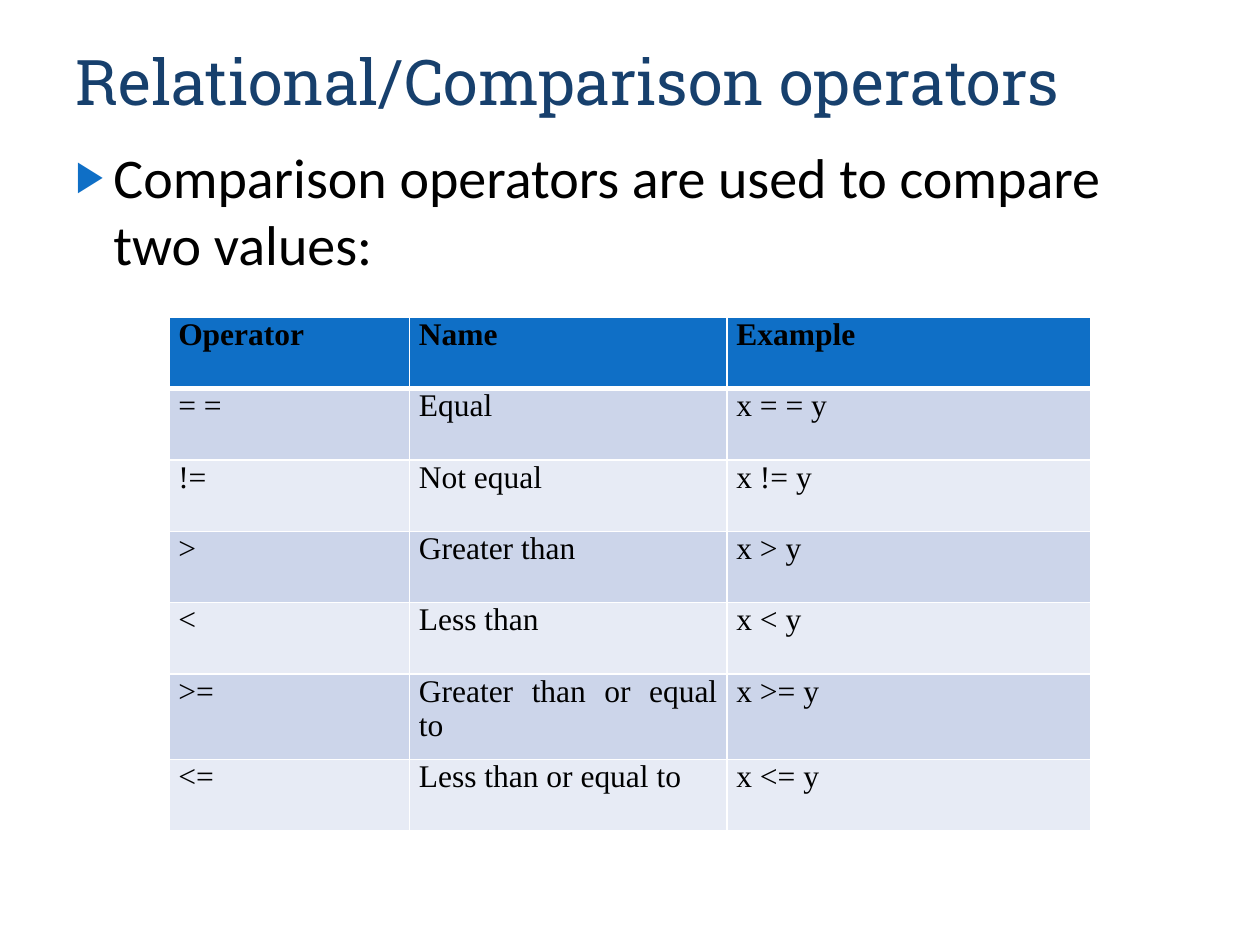
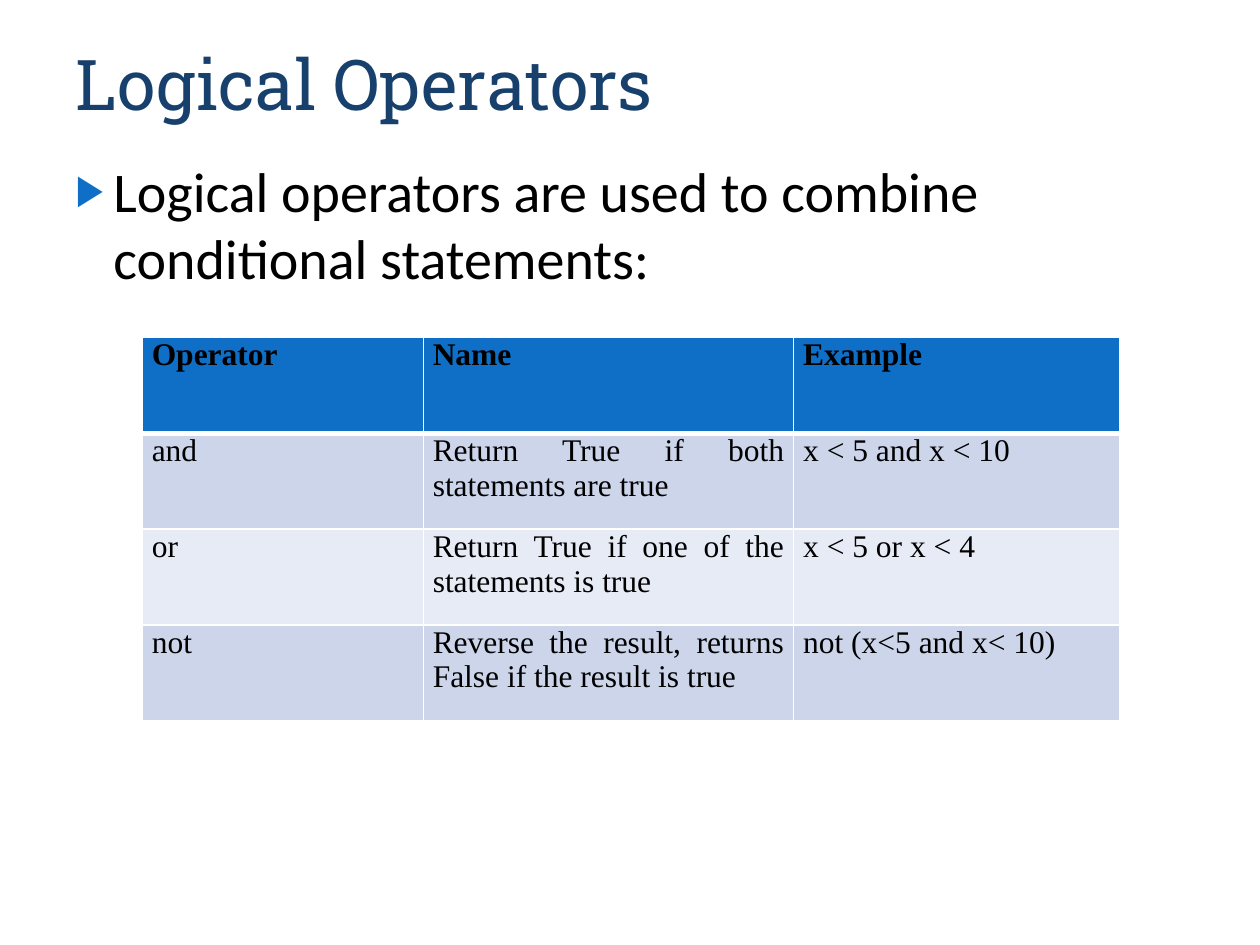
import pptx
import pptx.dml.color
import pptx.enum.text
import pptx.oxml
import pptx.oxml.ns
import pptx.util
from lxml import etree

# Grid: 100 columns by 75 rows over the whole slide
SLIDE_WIDTH = pptx.util.Inches(10)
SLIDE_HEIGHT = pptx.util.Inches(7.5)
COLUMNS, ROWS = 100, 75

# Shared style
TITLE_FONT, BODY_FONT, TABLE_FONT = "Roboto Slab", "Calibri", "Times New Roman"
NAVY, BLUE, BLACK, WHITE = "17406D", "0F6FC6", "000000", "FFFFFF"
BANDS = ("CCD5EA", "E7EBF5")
MARGIN, CONTENT_WIDTH = 5, 90
TITLE_TOP, TITLE_HEIGHT = 1.7, 14.9
THIN, THICK = 1, 3
HEADINGS = ("Operator", "Name", "Example")

COMPARISONS = (
    ("= =", "Equal", "x = = y"),
    ("!=", "Not equal", "x != y"),
    (">", "Greater than", "x > y"),
    ("<", "Less than", "x < y"),
    (">=", "Greater than or equal to", "x >= y"),
    ("<=", "Less than or equal to", "x <= y"),
)
LOGICALS = (
    ("and", "Return True if both statements are true", "x < 5 and x < 10"),
    ("or", "Return True if one of the statements is true", "x < 5 or x < 4"),
    ("not", "Reverse the result, returns False if the result is true",
     "not (x<5 and x< 10)"),
)


def across(columns):
    return pptx.util.Emu(round(SLIDE_WIDTH * columns / COLUMNS))


def down(rows):
    return pptx.util.Emu(round(SLIDE_HEIGHT * rows / ROWS))


def color(hex_string):
    return pptx.dml.color.RGBColor.from_string(hex_string)


def place(placeholder, left, top, width, height):
    placeholder.left, placeholder.top = across(left), down(top)
    placeholder.width, placeholder.height = across(width), down(height)
    placeholder.text_frame.auto_size = pptx.enum.text.MSO_AUTO_SIZE.NONE


def add_run(paragraph, text, font, size, hex_string, bold=False):
    run = paragraph.add_run()
    run.text = text
    run.font.name, run.font.size = font, pptx.util.Pt(size)
    run.font.bold = bold
    run.font.color.rgb = color(hex_string)


def set_title(slide, text, size, bottom_inset):
    title = slide.shapes.title
    place(title, MARGIN, TITLE_TOP, CONTENT_WIDTH, TITLE_HEIGHT)
    frame = title.text_frame
    frame.vertical_anchor = pptx.enum.text.MSO_ANCHOR.BOTTOM
    frame.margin_bottom = down(bottom_inset)
    paragraph = frame.paragraphs[0]
    paragraph.alignment = pptx.enum.text.PP_ALIGN.LEFT
    add_run(paragraph, text, TITLE_FONT, size, NAVY)


def add_bullet(paragraph):
    """Hanging blue triangle in front of the paragraph."""
    properties = paragraph._p.get_or_add_pPr()
    properties.set("marL", str(across(3)))
    properties.set("indent", str(-across(3)))
    tag = pptx.oxml.ns.qn
    bullet_color = etree.SubElement(properties, tag("a:buClr"))
    etree.SubElement(bullet_color, tag("a:srgbClr"), val=BLUE)
    etree.SubElement(properties, tag("a:buSzPct"), val="76000")
    etree.SubElement(properties, tag("a:buChar"), char="▶")


def set_statement(slide, text, top, height):
    body = slide.placeholders[1]
    place(body, MARGIN, top, CONTENT_WIDTH, height)
    paragraph = body.text_frame.paragraphs[0]
    paragraph.space_before = pptx.util.Pt(6)
    add_bullet(paragraph)
    add_run(paragraph, text, BODY_FONT, 32, BLACK)


def set_borders(cell, top, bottom):
    """White rules; only the line under the headings is thick."""
    properties = cell._tc.get_or_add_tcPr()
    tag = pptx.oxml.ns.qn
    for side, width in (("L", THIN), ("R", THIN), ("T", top), ("B", bottom)):
        line = etree.SubElement(properties, tag(f"a:ln{side}"),
                                w=str(pptx.util.Pt(width)))
        fill = etree.SubElement(line, tag("a:solidFill"))
        etree.SubElement(fill, tag("a:srgbClr"), val=WHITE)


def fill_cell(cell, text, row):
    heading = row == 0
    set_borders(cell, THICK if row == 1 else THIN, THICK if heading else THIN)
    cell.fill.solid()
    cell.fill.fore_color.rgb = color(BLUE if heading else BANDS[(row - 1) % 2])
    cell.margin_left = cell.margin_right = across(0.75)
    cell.margin_top = cell.margin_bottom = 0
    paragraph = cell.text_frame.paragraphs[0]
    paragraph.alignment = pptx.enum.text.PP_ALIGN.JUSTIFY
    add_run(paragraph, text, TABLE_FONT, 18, BLACK, bold=heading)


def add_operator_table(slide, operators, left, top, widths, heights):
    lines = (HEADINGS, *operators)
    table = slide.shapes.add_table(
        len(lines), len(HEADINGS), across(left), down(top),
        across(sum(widths)), down(sum(heights))).table
    for column, width in zip(table.columns, widths):
        column.width = across(width)
    for row, height in zip(table.rows, heights):
        row.height = down(height)
    for row, texts in enumerate(lines):
        for column, text in enumerate(texts):
            fill_cell(table.cell(row, column), text, row)


def main():
    deck = pptx.Presentation()
    deck.slide_width, deck.slide_height = SLIDE_WIDTH, SLIDE_HEIGHT
    title_and_content = deck.slide_layouts[1]

    # Comparison operators
    comparison = deck.slides.add_slide(title_and_content)
    set_title(comparison, "Relational/Comparison operators", 36, 7.2)
    set_statement(comparison,
                  "Comparison operators are used to compare two values:",
                  10.8, 61.5)
    add_operator_table(comparison, COMPARISONS, 13.4, 25.2,
                       (19.1, 25.2, 28.9), [5.66] * 5 + [6.8, 5.66])

    # Logical operators
    logical = deck.slides.add_slide(title_and_content)
    set_title(logical, "Logical Operators", 40, 6.7)
    set_statement(logical,
                  "Logical operators are used to combine conditional statements:",
                  11.9, 57.6)
    add_operator_table(logical, LOGICALS, 11.3, 26.8,
                       (22.3, 29.4, 25.9), [7.6] * 4)

    deck.save("out.pptx")


if __name__ == "__main__":
    main()
